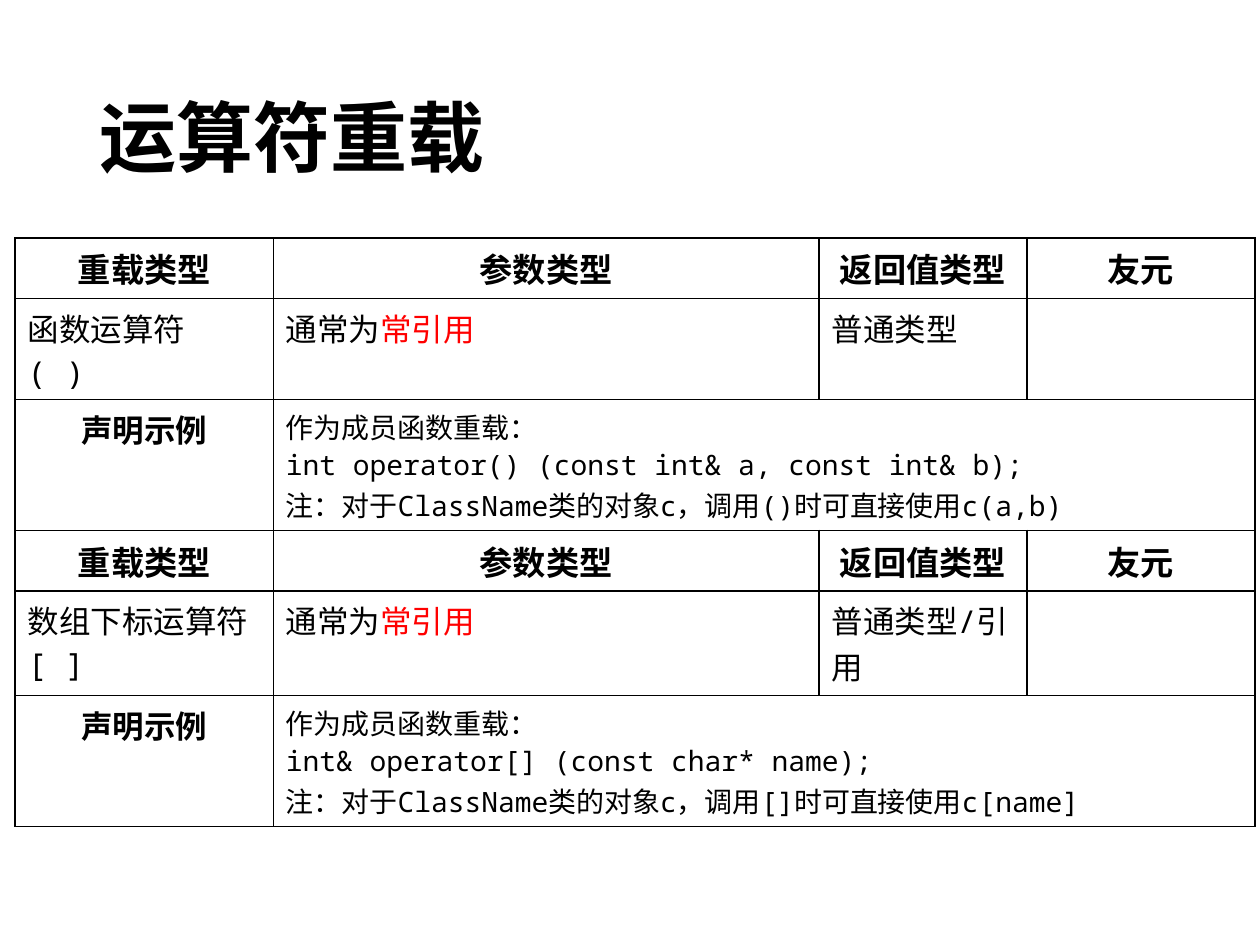
from lxml.etree import SubElement
from pptx import Presentation
from pptx.dml.color import RGBColor
from pptx.enum.text import MSO_ANCHOR, PP_ALIGN
from pptx.oxml import parse_xml
from pptx.oxml.ns import nsdecls, qn
from pptx.util import Inches, Pt

BLACK = RGBColor(0, 0, 0)
RED = RGBColor(255, 0, 0)
WHITE = RGBColor(255, 255, 255)
CJK, MONO, HEADING = "Noto Sans CJK SC", "Noto Sans Mono", "Calibri"

TITLE = "运算符重载"
HEADINGS = ["重载类型", "参数类型", "返回值类型", "友元"]
PARAMETER = ("通常为", "常引用")
EXAMPLE_LABEL = "声明示例"
OPERATORS = [
    {
        "kind": ["函数运算符", "( )"],
        "returns": "普通类型",
        "example": [
            "作为成员函数重载：",
            "int operator() (const int& a, const int& b);",
            "注：对于ClassName类的对象c，调用()时可直接使用c(a,b)",
        ],
    },
    {
        "kind": ["数组下标运算符", "[ ]"],
        "returns": "普通类型/引用",
        "example": [
            "作为成员函数重载：",
            "int& operator[] (const char* name);",
            "注：对于ClassName类的对象c，调用[]时可直接使用c[name]",
        ],
    },
]
COLUMNS = [2.05, 4.33, 1.65, 1.81]
ROWS = [0.48, 0.8, 1.04, 0.48, 0.83, 1.04]


def add_run(paragraph, text, size, font, bold=False, color=BLACK):
    run = paragraph.add_run()
    run.text = text
    run.font.size = Pt(size)
    run.font.name = font
    run.font.bold = bold
    run.font.color.rgb = color
    SubElement(run.font._element, qn("a:ea"), typeface=CJK)


def add_heading(cell, text, size):
    paragraph = cell.text_frame.paragraphs[0]
    paragraph.alignment = PP_ALIGN.CENTER
    add_run(paragraph, text, size, HEADING, bold=True)


def add_lines(cell, lines, size):
    frame = cell.text_frame
    for index, line in enumerate(lines):
        paragraph = frame.add_paragraph() if index else frame.paragraphs[0]
        add_run(paragraph, line, size, MONO)


def style_cell(cell):
    cell.fill.solid()
    cell.fill.fore_color.rgb = WHITE
    properties = cell._tc.get_or_add_tcPr()
    for index, side in enumerate("LRTB"):
        properties.insert(index, parse_xml(
            f'<a:ln{side} {nsdecls("a")} w="{Pt(1)}"><a:solidFill>'
            f'<a:srgbClr val="{BLACK}"/></a:solidFill></a:ln{side}>'))


def add_title(slide):
    box = slide.shapes.add_textbox(Inches(0.69), Inches(0.4), Inches(8.62), Inches(1.45))
    frame = box.text_frame
    frame.word_wrap = True
    frame.vertical_anchor = MSO_ANCHOR.MIDDLE
    paragraph = frame.paragraphs[0]
    paragraph.line_spacing = 0.9
    add_run(paragraph, TITLE, 44, CJK, bold=True)


def add_operators(slide):
    table = slide.shapes.add_table(
        len(ROWS), len(COLUMNS), Inches(0.12), Inches(1.89),
        Inches(sum(COLUMNS)), Inches(sum(ROWS))).table
    for column, width in zip(table.columns, COLUMNS):
        column.width = Inches(width)
    for row, height in zip(table.rows, ROWS):
        row.height = Inches(height)
    for cell in table.iter_cells():
        style_cell(cell)

    for index, operator in enumerate(OPERATORS):
        top = 3 * index
        for column, heading in enumerate(HEADINGS):
            add_heading(table.cell(top, column), heading, 19)
        add_lines(table.cell(top + 1, 0), operator["kind"], 18)
        parameter = table.cell(top + 1, 1).text_frame.paragraphs[0]
        for text, color in zip(PARAMETER, (BLACK, RED)):
            add_run(parameter, text, 18, MONO, color=color)
        add_lines(table.cell(top + 1, 2), [operator["returns"]], 18)
        add_heading(table.cell(top + 2, 0), EXAMPLE_LABEL, 18)
        example = table.cell(top + 2, 1)
        example.merge(table.cell(top + 2, 3))
        add_lines(example, operator["example"], 16)


def main():
    presentation = Presentation()
    presentation.slide_width = Inches(10)
    presentation.slide_height = Inches(7.5)
    slide = presentation.slides.add_slide(presentation.slide_layouts[6])
    add_title(slide)
    add_operators(slide)
    presentation.save("out.pptx")


if __name__ == "__main__":
    main()
